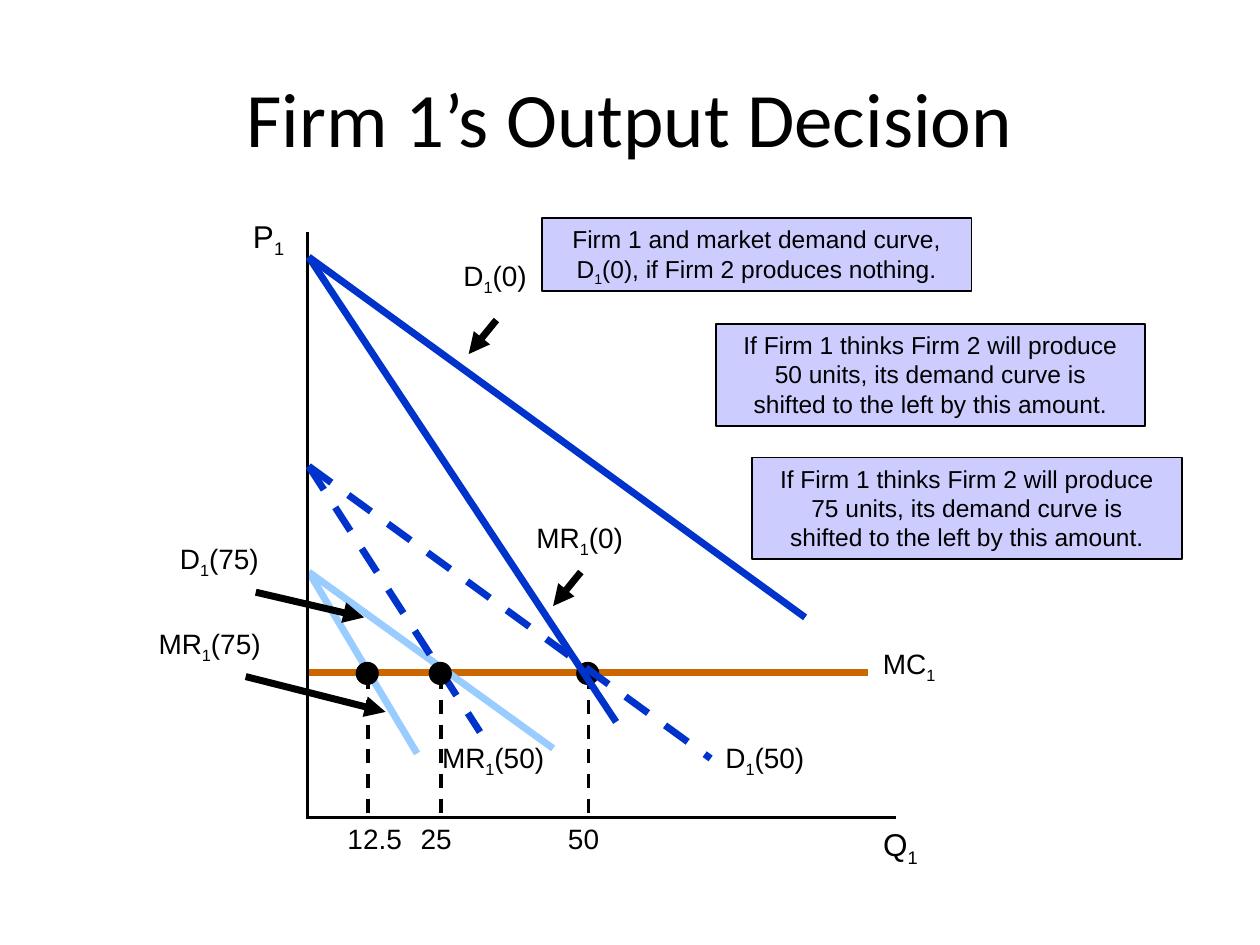
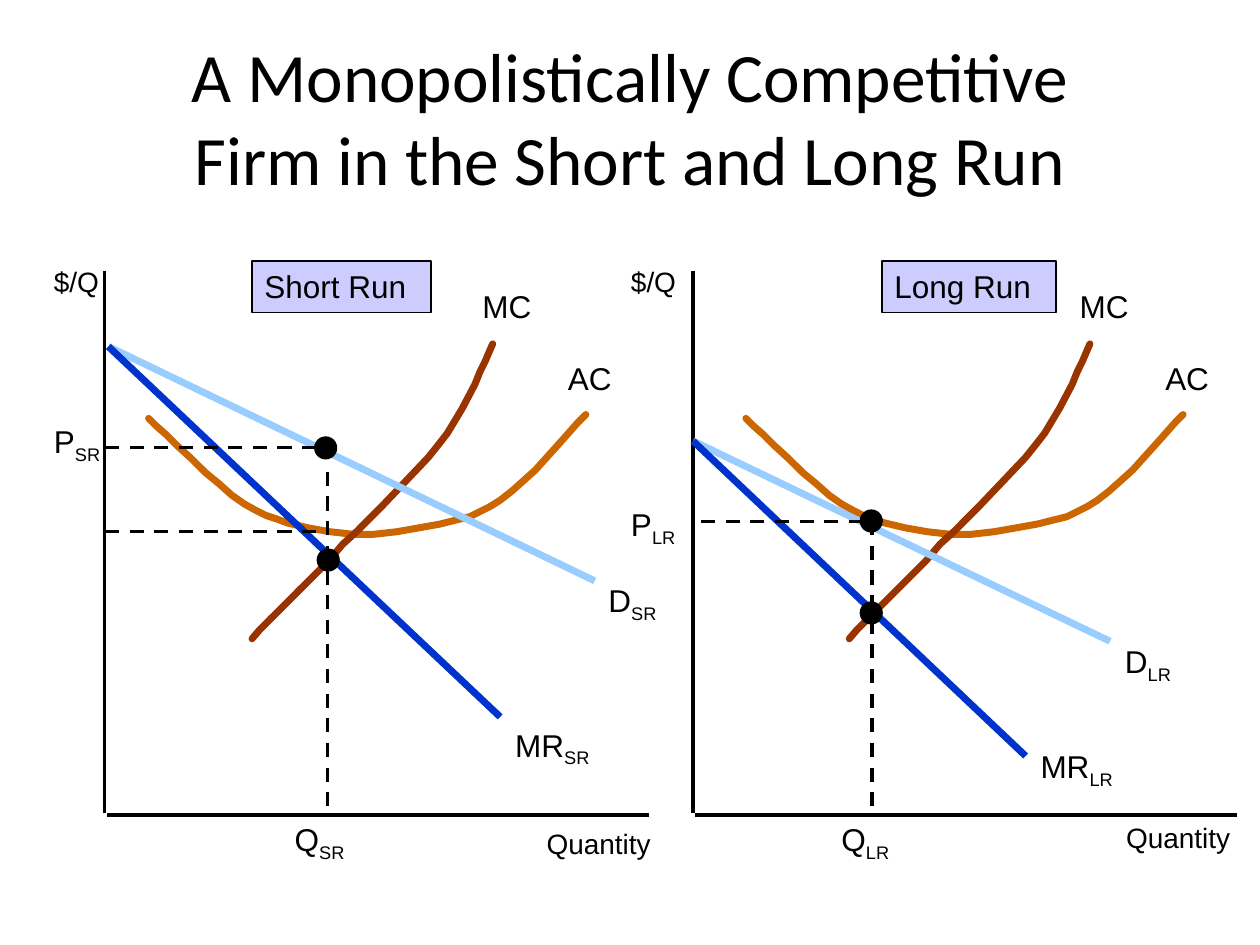
import dataclasses

import lxml.etree
import pptx
import pptx.dml.color
import pptx.enum.dml
import pptx.enum.shapes
import pptx.enum.text
import pptx.oxml.ns
import pptx.util

RGBColor = pptx.dml.color.RGBColor
PX = pptx.util.Inches(1) // 100
BLACK = RGBColor(0x00, 0x00, 0x00)
LAVENDER = RGBColor(0xCC, 0xCC, 0xFF)
BLUE = RGBColor(0x00, 0x33, 0xCC)
SKY = RGBColor(0x99, 0xCC, 0xFF)
ORANGE = RGBColor(0xCC, 0x66, 0x00)
BROWN = RGBColor(0x99, 0x33, 0x00)

THIN, THICK = 2, 4
SMALL, MEDIUM, LARGE = 14, 16, 18
LABEL_HEIGHT = {MEDIUM: 36, LARGE: 40}
DOT = 17
LEFT = pptx.enum.text.PP_ALIGN.LEFT
CENTER = pptx.enum.text.PP_ALIGN.CENTER

AVERAGE_COST = [
    (35, 117), (41, 123), (49, 130), (58, 139), (69, 149), (80, 160),
    (91, 169), (101, 178), (111, 185), (120, 190), (128, 194), (137, 197),
    (145, 200), (162, 204), (179, 207), (197, 209), (214, 209), (232, 207),
    (249, 204), (266, 201), (282, 197), (290, 195), (298, 191), (306, 187),
    (314, 182), (323, 175), (332, 167), (342, 158), (351, 148), (360, 138),
    (368, 129), (376, 120), (382, 114),
]
MARGINAL_COST = [
    (117, 292), (123, 285), (132, 276), (143, 265), (154, 254), (178, 230),
    (189, 217), (200, 207), (220, 187), (239, 167), (257, 148), (265, 138),
    (272, 129), (278, 119), (284, 109), (294, 90), (298, 80), (302, 72),
    (305, 65), (308, 58),
]


def add_child(parent, tag, **attributes):
    return lxml.etree.SubElement(parent, pptx.oxml.ns.qn(tag), **attributes)


def write(frame, text, size, align=LEFT, font="Arial"):
    for number, row in enumerate(text.split("\n")):
        para = frame.add_paragraph() if number else frame.paragraphs[0]
        para.alignment = align
        for index, part in enumerate(row.split("_")):
            if index % 2:
                span = para.add_run()
                span.text = part
                span._r.get_or_add_rPr().set("baseline", "-25000")
            elif "\v" in part:
                para.text = part
            elif part:
                para.add_run().text = part
        para.font.size = pptx.util.Pt(size)
        para.font.name = font
        para.font.color.rgb = BLACK


@dataclasses.dataclass
class Region:
    page: object
    left: int
    top: int

    def place(self, x, y):
        return (self.left + x) * PX, (self.top + y) * PX

    def line(self, start, end, color=BLACK, width=THIN, dashed=False, arrow=False):
        connector = self.page.shapes.add_connector(
            pptx.enum.shapes.MSO_CONNECTOR.STRAIGHT,
            *self.place(*start), *self.place(*end))
        connector.line.color.rgb = color
        connector.line.width = pptx.util.Pt(width)
        if dashed:
            connector.line.dash_style = pptx.enum.dml.MSO_LINE.DASH
        if arrow:
            add_child(connector.line._get_or_add_ln(), "a:tailEnd", type="triangle")
        add_child(connector._element.spPr, "a:effectLst")

    def curve(self, points, color):
        builder = self.page.shapes.build_freeform(*points[0], scale=PX)
        builder.add_line_segments(points[1:], close=False)
        shape = builder.convert_to_shape(*self.place(0, 0))
        shape.shadow.inherit = False
        shape.fill.background()
        shape.line.color.rgb = color
        shape.line.width = pptx.util.Pt(THICK)
        outline = shape.line._get_or_add_ln()
        outline.set("cap", "rnd")
        add_child(outline, "a:round")

    def label(self, text, x, y, width, size=MEDIUM):
        box = self.page.shapes.add_textbox(
            *self.place(x, y), width * PX, LABEL_HEIGHT[size] * PX)
        box.text_frame.word_wrap = False
        box.text_frame.auto_size = pptx.enum.text.MSO_AUTO_SIZE.SHAPE_TO_FIT_TEXT
        write(box.text_frame, text, size)

    def solid(self, kind, x, y, width, height, color):
        shape = self.page.shapes.add_shape(
            kind, *self.place(x, y), width * PX, height * PX)
        shape.shadow.inherit = False
        shape.fill.solid()
        shape.fill.fore_color.rgb = color
        shape.line.color.rgb = BLACK
        shape.line.width = pptx.util.Pt(1)
        return shape

    def dot(self, x, y):
        self.solid(pptx.enum.shapes.MSO_SHAPE.OVAL, x, y, DOT, DOT, BLACK)

    def note(self, text, x, y, width, height, size=SMALL, align=CENTER, wrap=False):
        shape = self.solid(
            pptx.enum.shapes.MSO_SHAPE.RECTANGLE, x, y, width, height, LAVENDER)
        frame = shape.text_frame
        frame.word_wrap = wrap
        frame.vertical_anchor = pptx.enum.text.MSO_ANCHOR.TOP
        write(frame, text, size, align)


def add_title(page, text, size):
    box = page.shapes.add_textbox(50 * PX, 30 * PX, 900 * PX, 125 * PX)
    box.text_frame.word_wrap = True
    box.text_frame.vertical_anchor = pptx.enum.text.MSO_ANCHOR.MIDDLE
    write(box.text_frame, text, size, CENTER, "Calibri")


def draw_output(graph, quantity, x, width):
    graph.line((x, 352), (x, 465), dashed=True)
    graph.label(quantity, x - 26, 463, width)
    graph.dot(x - 9, 342)


def draw_demand(graph, rival, start, demand_end, revenue_end,
                demand_label, revenue_label, color=BLUE, dashed=False):
    extra = 12 * (len(rival) - 1)
    for end in (demand_end, revenue_end):
        graph.line((0, start), end, color, THICK, dashed)
    graph.label(f"D_1_({rival})", *demand_label, 72 + extra)
    graph.label(f"MR_1_({rival})", *revenue_label, 90 + extra)


def draw_pointers(graph, *pointers):
    for start, end in pointers:
        graph.line(start, end, BLACK, THICK, arrow=True)


def draw_shift_note(graph, rival, x, y):
    graph.note(f"If Firm 1 thinks Firm 2 will produce\n{rival} units, its demand "
               "curve is\nshifted to the left by this amount.", x, y, 341, 81)


def draw_output_decision(graph):
    graph.line((0, 350), (444, 350), ORANGE, THICK)
    graph.label("MC_1_", 446, 324, 63)
    draw_output(graph, "50", 222, 46)

    draw_demand(graph, "75", 270, (194, 410), (86, 414),
                (-112, 241), (-129, 308), SKY)
    draw_pointers(graph, ((-42, 286), (44, 306)), ((-50, 353), (61, 381)))
    draw_output(graph, "12.5", 47, 64)
    draw_shift_note(graph, "75", 352, 179)

    graph.line((-1, 0), (-1, 466))
    graph.line((-2, 465), (466, 465))
    graph.label("Q_1_", 446, 466, 48, LARGE)
    graph.label("P_1_", -54, -17, 46, LARGE)

    draw_demand(graph, "0", 20, (394, 306), (244, 389), (113, 16), (171, 224))
    draw_pointers(graph, ((149, 70), (127, 97)), ((216, 270), (194, 297)))
    graph.note("Firm 1 and market demand curve, D_1_(0), if Firm 2 produces nothing.",
               185, -11, 341, 58, wrap=True)

    draw_demand(graph, "50", 186, (319, 418), (136, 397),
                (321, 399), (96, 399), dashed=True)
    draw_output(graph, "25", 105, 46)
    draw_shift_note(graph, "50", 323, 73)


@dataclasses.dataclass
class Run:
    name: str
    suffix: str
    start: tuple
    demand_end: tuple
    revenue_end: tuple
    demand_label: tuple
    revenue_label: tuple
    drop: tuple
    price_start: int
    dashes: list
    dots: list
    output_label: int
    price_label: tuple
    unit_label: int
    quantity_label: tuple
    heading: tuple
    cost_shift: int


SHORT_RUN = Run(
    "Short Run", "SR", (3, 60), (389, 246), (314, 354), (390, 241), (316, 356),
    (177, 156), 168, [140, 207], [(167, 132), (169, 221)], 141, (-50, 115),
    -50, (341, 436), (117, 142), 0)
LONG_RUN = Run(
    "Long Run", "LR", (0, 135), (331, 294), (264, 385), (333, 290), (266, 373),
    (142, 197), 135, [199], [(133, 263), (133, 190)], 108, (-59, 181),
    -59, (334, 431), (150, 138), 7)


def draw_costs(panel):
    panel.curve(AVERAGE_COST, ORANGE)
    panel.curve(MARGINAL_COST, BROWN)
    panel.label("MC", 290, 8, 59, LARGE)
    panel.label("AC", 358, 65, 56, LARGE)


def draw_run(panel, run):
    panel.line((0, 0), (0, 430))
    panel.line((2, 432), (432, 432))
    panel.label("Quantity", *run.quantity_label, 110)
    panel.label("$/Q", run.unit_label, -10, 56)
    draw_costs(Region(panel.page, panel.left + run.cost_shift, panel.top))

    panel.line(run.start, run.demand_end, SKY, THICK)
    panel.line(run.start, run.revenue_end, BLUE, THICK)
    panel.label(f"D_{run.suffix}_", *run.demand_label, 61, LARGE)
    panel.label(f"MR_{run.suffix}_", *run.revenue_label, 82, LARGE)

    panel.line((run.drop[0], 425), run.drop, dashed=True)
    for y in run.dashes:
        panel.line((run.price_start, y), (-1, y), dashed=True)
    for dot in run.dots:
        panel.dot(*dot)
    panel.label(f"Q_{run.suffix}_", run.output_label, 431, 62, LARGE)
    panel.label(f"P_{run.suffix}_", *run.price_label, 60, LARGE)
    x, width = run.heading
    panel.note(run.name, x, -8, width, 41, LARGE, LEFT)


def main():
    deck = pptx.Presentation()
    deck.slide_width, deck.slide_height = 1000 * PX, 750 * PX
    blank = deck.slide_layouts[6]

    page = deck.slides.add_slide(blank)
    add_title(page, "Firm 1’s Output Decision", 44)
    draw_output_decision(Region(page, 245, 184))

    page = deck.slides.add_slide(blank)
    add_title(page, "A Monopolistically Competitive\vFirm in the Short and Long Run", 39.6)
    draw_run(Region(page, 83, 215), SHORT_RUN)
    draw_run(Region(page, 550, 215), LONG_RUN)

    deck.save("out.pptx")


if __name__ == "__main__":
    main()
